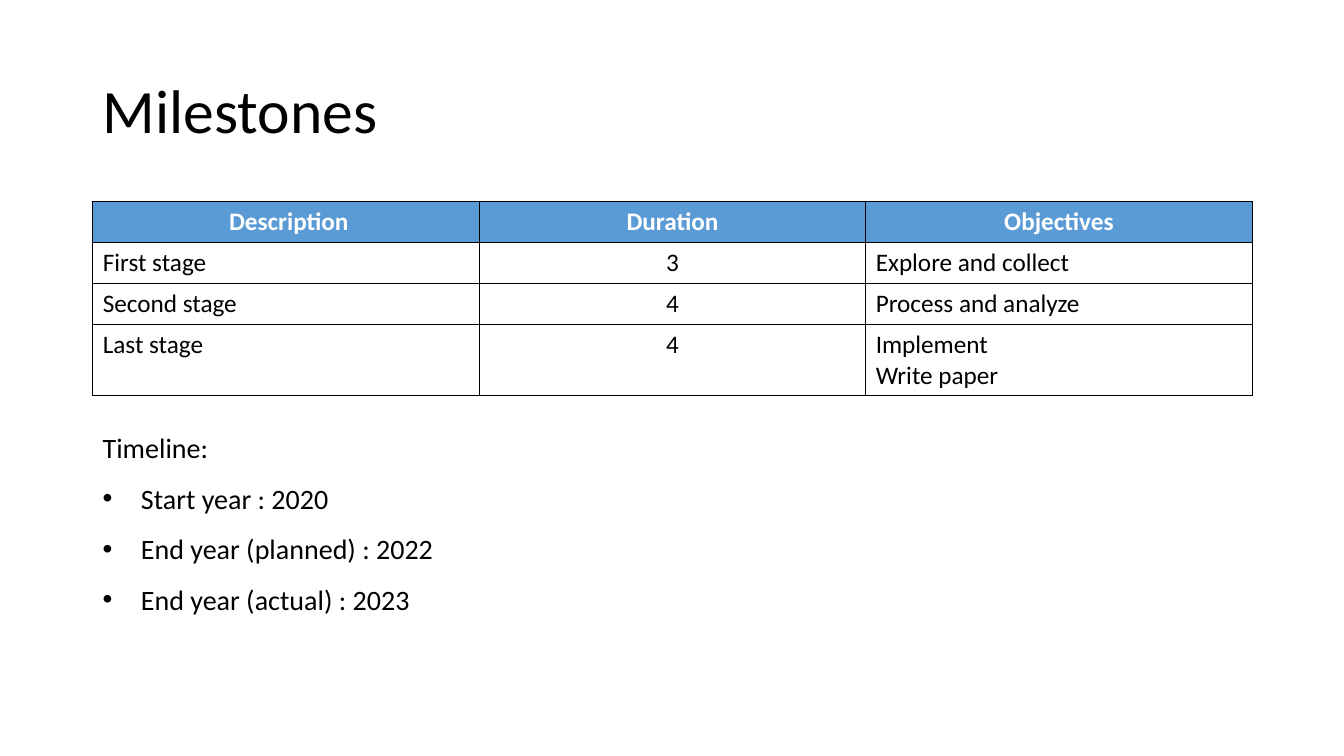
from dataclasses import dataclass, field

from lxml.etree import SubElement
from pptx import Presentation
from pptx.dml.color import RGBColor
from pptx.enum.text import MSO_ANCHOR as Anchor, MSO_AUTO_SIZE as AutoSize, PP_ALIGN as Align
from pptx.oxml.ns import qn
from pptx.util import Inches, Pt

WIDTH, HEIGHT = Inches(13.33), Inches(7.5)
LEFT, CONTENT_WIDTH = Inches(0.92), Inches(11.5)
ROW_HEIGHT, EXTRA_LINE = Inches(0.405), Inches(0.3)
INDENT = Inches(0.38)
FONT, BLACK, WHITE, BLUE = "Calibri", "000000", "FFFFFF", "5B9BD5"

HEADER = (" Description", "Duration", "Objectives")
STAGES = (
    ("First stage", "3", "Explore and collect"),
    ("Second stage", "4", "Process and analyze"),
    ("Last stage", "4", "Implement\nWrite paper"),
)
COLUMN_ALIGN = (Align.LEFT, Align.CENTER, Align.LEFT)


@dataclass
class TextBlock:
    """A text box: vertical place, width, lines and their format."""
    top: float
    height: float
    width: int
    lines: tuple
    size: int
    para: dict
    frame: dict = field(default_factory=dict)
    bullets_from: int = 99


BLOCKS = (
    TextBlock(0.4, 1.45, CONTENT_WIDTH, ("Milestones",), 44,
              {"line_spacing": 0.9}, {"vertical_anchor": Anchor.MIDDLE}),
    TextBlock(4.06, 2.12, Inches(9.8),
              ("Timeline:", "Start year : 2020", "End year (planned) : 2022",
               "End year (actual) : 2023"), 20,
              {"line_spacing": 1.5, "alignment": Align.JUSTIFY},
              {"auto_size": AutoSize.SHAPE_TO_FIT_TEXT}, bullets_from=1),
)


def rgb(value: str) -> RGBColor:
    """Turn a hex string into a colour."""
    return RGBColor.from_string(value)


def apply(target, values: dict) -> None:
    """Set every named attribute on the target."""
    for name, value in values.items():
        setattr(target, name, value)


def write(tf, lines, size: int, para: dict, color: str = BLACK, bold: bool = False) -> None:
    """Write one formatted paragraph for each line."""
    for i, line in enumerate(lines):
        p = tf.paragraphs[0] if i == 0 else tf.add_paragraph()
        apply(p, para)
        r = p.add_run()
        r.text = line
        apply(r.font, {"name": FONT, "size": Pt(size), "bold": bold})
        r.font.color.rgb = rgb(color)


def add_bullet(p) -> None:
    """Give a paragraph a hanging round bullet."""
    pPr = p._p.get_or_add_pPr()
    pPr.set("marL", str(INDENT))
    pPr.set("indent", str(-INDENT))
    SubElement(pPr, qn("a:buFont"), typeface="Arial")
    SubElement(pPr, qn("a:buChar"), char="•")


def add_borders(cell) -> None:
    """Draw a thin black line on all four sides of a cell."""
    tcPr = cell._tc.get_or_add_tcPr()
    for side in ("lnL", "lnR", "lnT", "lnB"):
        ln = SubElement(tcPr, qn(f"a:{side}"), w=str(Pt(1)))
        SubElement(SubElement(ln, qn("a:solidFill")), qn("a:srgbClr"), val=BLACK)


def add_text(s, block: TextBlock) -> None:
    """Place a text block at the left margin."""
    sp = s.shapes.add_textbox(LEFT, Inches(block.top), block.width, Inches(block.height))
    tf = sp.text_frame
    apply(tf, {"word_wrap": True, **block.frame})
    write(tf, block.lines, block.size, block.para)
    for p in tf.paragraphs[block.bullets_from:]:
        add_bullet(p)


def add_stages(s) -> None:
    """Add the table of stages under its header row."""
    rows = (HEADER, *STAGES)
    table = s.shapes.add_table(len(rows), len(HEADER), LEFT, Inches(2),
                               CONTENT_WIDTH, ROW_HEIGHT * len(rows)).table
    table.horz_banding = False
    for i, texts in enumerate(rows):
        extra_lines = max(text.count("\n") for text in texts)
        table.rows[i].height = ROW_HEIGHT + extra_lines * EXTRA_LINE
        for j, text in enumerate(texts):
            cell, head = table.cell(i, j), i == 0
            add_borders(cell)
            cell.fill.solid()
            cell.fill.fore_color.rgb = rgb(BLUE if head else WHITE)
            align = Align.CENTER if head else COLUMN_ALIGN[j]
            write(cell.text_frame, text.split("\n"), 18, {"alignment": align},
                  WHITE if head else BLACK, head)


prs = Presentation()
apply(prs, {"slide_width": WIDTH, "slide_height": HEIGHT})
s = prs.slides.add_slide(prs.slide_layouts[6])
add_stages(s)
for block in BLOCKS:
    add_text(s, block)
prs.save("out.pptx")
